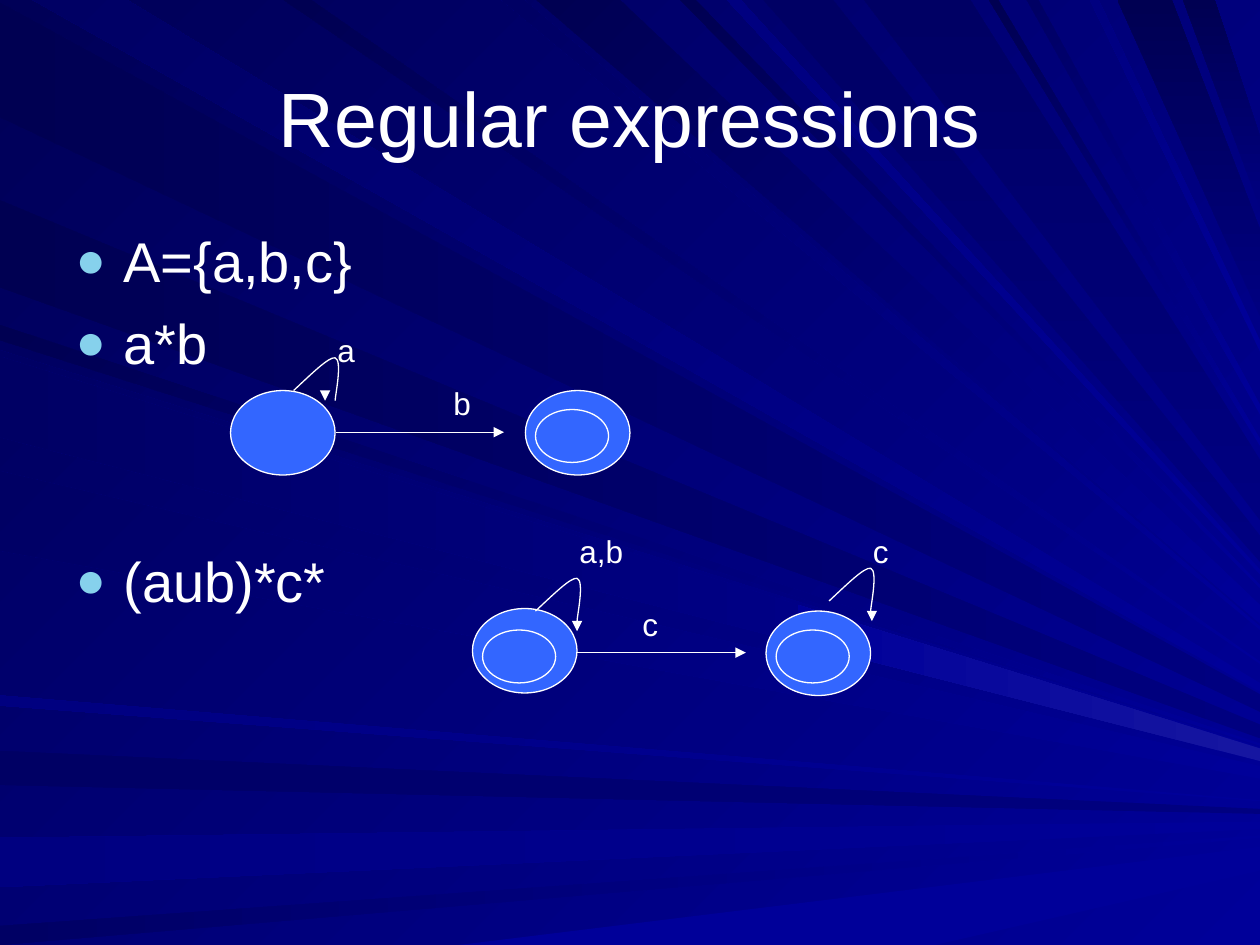
from dataclasses import dataclass
from lxml.etree import SubElement
from pptx import Presentation
from pptx.dml.color import RGBColor
from pptx.enum.shapes import MSO_CONNECTOR, MSO_SHAPE
from pptx.enum.text import MSO_ANCHOR, MSO_AUTO_SIZE, PP_ALIGN
from pptx.oxml.ns import qn
from pptx.util import Pt

PX = 9144
WIDTH, HEIGHT = 1000, 750
LEFTWARD, UP_LEFT, UPWARD = 180, 135, 90


@dataclass(frozen=True)
class Theme:
    font: str = "Arial"
    title_size: int = 44
    body_size: int = 32
    label_size: int = 18
    line_width: float = 0.75
    ink: str = "FFFFFF"
    bullet: str = "86D1EC"
    state: str = "3366FF"
    glow: str = "1616A1"
    royal: str = "000099"
    navy: str = "000080"
    dusk: str = "000064"
    night: str = "000052"
    base: str = "000057"


THEME = Theme()
VANISHING = (1180, 650)
LEFT_RAYS = (
    (2, 93, THEME.navy, THEME.night, LEFTWARD),
    (596, 623, THEME.navy, THEME.dusk, LEFTWARD),
    (665, 704, THEME.royal, THEME.navy, LEFTWARD),
    (735, 750, THEME.royal, THEME.dusk, LEFTWARD),
    (258, 270, THEME.royal, THEME.night, UP_LEFT),
    (159, 228, THEME.navy, THEME.night, LEFTWARD),
    (278, 342, THEME.royal, THEME.dusk, UP_LEFT),
    (374, 437, THEME.royal, THEME.dusk, UP_LEFT),
    (552, 560, THEME.royal, THEME.navy, LEFTWARD),
)
TOP_RAYS = (
    (26, 101, THEME.royal, THEME.dusk, UP_LEFT),
    (398, 416, THEME.royal, THEME.dusk, UP_LEFT),
    (426, 492, THEME.royal, THEME.night, UP_LEFT),
    (540, 552, THEME.royal, THEME.night, UP_LEFT),
    (606, 661, THEME.navy, THEME.dusk, UPWARD),
    (887, 930, THEME.navy, THEME.night, UPWARD),
    (939, 964, THEME.navy, THEME.night, UPWARD),
    (225, 247, THEME.royal, THEME.night, UP_LEFT),
    (577, 588, THEME.royal, THEME.navy, UP_LEFT),
    (686, 770, THEME.navy, THEME.dusk, UPWARD),
    (785, 792, THEME.royal, THEME.night, UP_LEFT),
    (815, 824, THEME.royal, THEME.dusk, UP_LEFT),
    (865, 872, THEME.royal, THEME.navy, UP_LEFT),
)
LOOP_CONTROLS = ((14, 14), (28, 0), (33, 1), (39, 3), (33, 31), (33, 35))


def color(code):
    return RGBColor.from_string(code)


def paint(fill, near, far=None, angle=LEFTWARD):
    if far is None:
        fill.solid()
        fill.fore_color.rgb = color(near)
        return
    fill.gradient()
    fill.gradient_angle = angle
    for stop, code in zip(fill.gradient_stops, (near, far)):
        stop.color.rgb = color(code)


def outline(item):
    item.line.color.rgb = color(THEME.ink)
    item.line.width = Pt(THEME.line_width)


def place(item, left, top, width, height):
    item.left, item.top = left * PX, top * PX
    item.width, item.height = width * PX, height * PX


def write(para, text, size):
    span = para.add_run()
    span.text = text
    span.font.name = THEME.font
    span.font.size = Pt(size)
    span.font.color.rgb = color(THEME.ink)


def toward_vanishing(point, across):
    x, y = point
    return across, round(y + (VANISHING[1] - y) * (across - x) / (VANISHING[0] - x))


def draw_ray(group, first, second, *fill):
    ends = [toward_vanishing(point, WIDTH) for point in (second, first)]
    builder = group.shapes.build_freeform(*first, scale=PX)
    builder.add_line_segments([second, *ends], close=True)
    ray = builder.convert_to_shape()
    paint(ray.fill, *fill)
    ray.line.fill.background()
    ray.shadow.inherit = False


def draw_rays(page):
    group = page.shapes.add_group_shape()
    for upper, lower, *fill in LEFT_RAYS:
        draw_ray(group, (0, upper), (0, lower), *fill)
    for left, right, *fill in TOP_RAYS:
        draw_ray(group, (left, 0), (right, 0), *fill)
    draw_ray(group, (364, HEIGHT), (742, HEIGHT), THEME.royal)
    beam = (0, 283), (0, 347)
    draw_ray(group, *beam, THEME.royal, THEME.dusk)
    bright = (toward_vanishing(point, 633) for point in beam)
    draw_ray(group, *bright, THEME.glow, THEME.royal)
    page.shapes._spTree.insert(2, group._element)


def fill_title(page, left, top, width, height):
    title = page.shapes.title
    place(title, left, top, width, height)
    frame = title.text_frame
    frame.auto_size = MSO_AUTO_SIZE.NONE
    frame.vertical_anchor = MSO_ANCHOR.MIDDLE
    para = frame.paragraphs[0]
    para.alignment = PP_ALIGN.CENTER
    write(para, "Regular expressions", THEME.title_size)


def fill_body(page, left, top, width, height):
    body = page.placeholders[1]
    place(body, left, top, width, height)
    frame = body.text_frame
    frame.auto_size = MSO_AUTO_SIZE.NONE
    for index, (text, gap) in enumerate((("A={a,b,c}", 0), ("a*b", 8), ("(aub)*c*", 98))):
        para = frame.add_paragraph() if index else frame.paragraphs[0]
        para.space_before = Pt(gap)
        props = para._p.get_or_add_pPr()
        props.set("marL", str(38 * PX))
        props.set("indent", str(-38 * PX))
        SubElement(SubElement(props, qn("a:buClr")), qn("a:srgbClr"), val=THEME.bullet)
        SubElement(props, qn("a:buSzPct"), val="90000")
        SubElement(props, qn("a:buChar"), char="●")
        write(para, text, THEME.body_size)


def add_label(page, text, left, top, width=58):
    box = page.shapes.add_textbox(left * PX, top * PX, width * PX, 40 * PX)
    box.text_frame.word_wrap = True
    write(box.text_frame.paragraphs[0], text, THEME.label_size)


def add_arrow(page, left, top, across, down):
    ends = (left, top, left + across, top + down)
    arrow = page.shapes.add_connector(MSO_CONNECTOR.STRAIGHT, *(end * PX for end in ends))
    outline(arrow)
    props = arrow._element.spPr
    SubElement(props.find(qn("a:ln")), qn("a:tailEnd"), type="triangle")
    SubElement(props, qn("a:effectLst"))


def add_ellipse(page, left, top, width, height):
    ellipse = page.shapes.add_shape(MSO_SHAPE.OVAL, 0, 0, 0, 0)
    place(ellipse, left, top, width, height)
    paint(ellipse.fill, THEME.state)
    outline(ellipse)
    ellipse.shadow.inherit = False


def add_state(page, left, top, inner_drop=None):
    add_ellipse(page, left, top, 83, 67)
    if inner_drop is not None:
        add_ellipse(page, left + 8, top + inner_drop, 58, 42)


def add_loop(page, left, top, text, label_rise, rise, tip_across, tip_down):
    builder = page.shapes.build_freeform(0, 27, scale=PX)
    builder.add_line_segments(LOOP_CONTROLS, close=False)
    loop = builder.convert_to_shape((left + 50) * PX, (top - rise) * PX)
    loop.fill.background()
    outline(loop)
    loop.shadow.inherit = False
    track = loop._element.find(".//" + qn("a:path"))
    segments = track.findall(qn("a:lnTo"))
    for first in (0, 3):
        curve = SubElement(track, qn("a:cubicBezTo"))
        for segment in segments[first:first + 3]:
            curve.append(segment[0])
            track.remove(segment)
    add_arrow(page, left + tip_across, top + tip_down, 0, 8)
    add_label(page, text, left + 75, top - label_rise)


def draw_star_automaton(page, left, top):
    add_loop(page, left, top, "a", 52, 27, 75, 0)
    add_state(page, left, top)
    add_state(page, left + 234, top, 15)
    add_arrow(page, left + 84, top + 33, 133, 0)
    add_label(page, "b", left + 167, top - 10, 33)


def draw_union_automaton(page, left, top):
    add_state(page, left, top, 17)
    add_loop(page, left, top, "a,b", 66, 25, 83, 10)
    add_state(page, left + 233, top + 2, 15)
    add_loop(page, left + 233, top + 2, "c", 68, 35, 84, 0)
    add_arrow(page, left + 83, top + 35, 134, 0)
    add_label(page, "c", left + 125, top - 8)


def main():
    deck = Presentation()
    deck.slide_width, deck.slide_height = WIDTH * PX, HEIGHT * PX
    page = deck.slides.add_slide(deck.slide_layouts[1])
    paint(page.background.fill, THEME.royal, THEME.base, UP_LEFT)
    draw_rays(page)
    fill_title(page, 50, 30, 900, 125)
    fill_body(page, 50, 175, 900, 495)
    draw_star_automaton(page, 183, 310)
    draw_union_automaton(page, 375, 483)
    deck.save("out.pptx")


if __name__ == "__main__":
    main()
